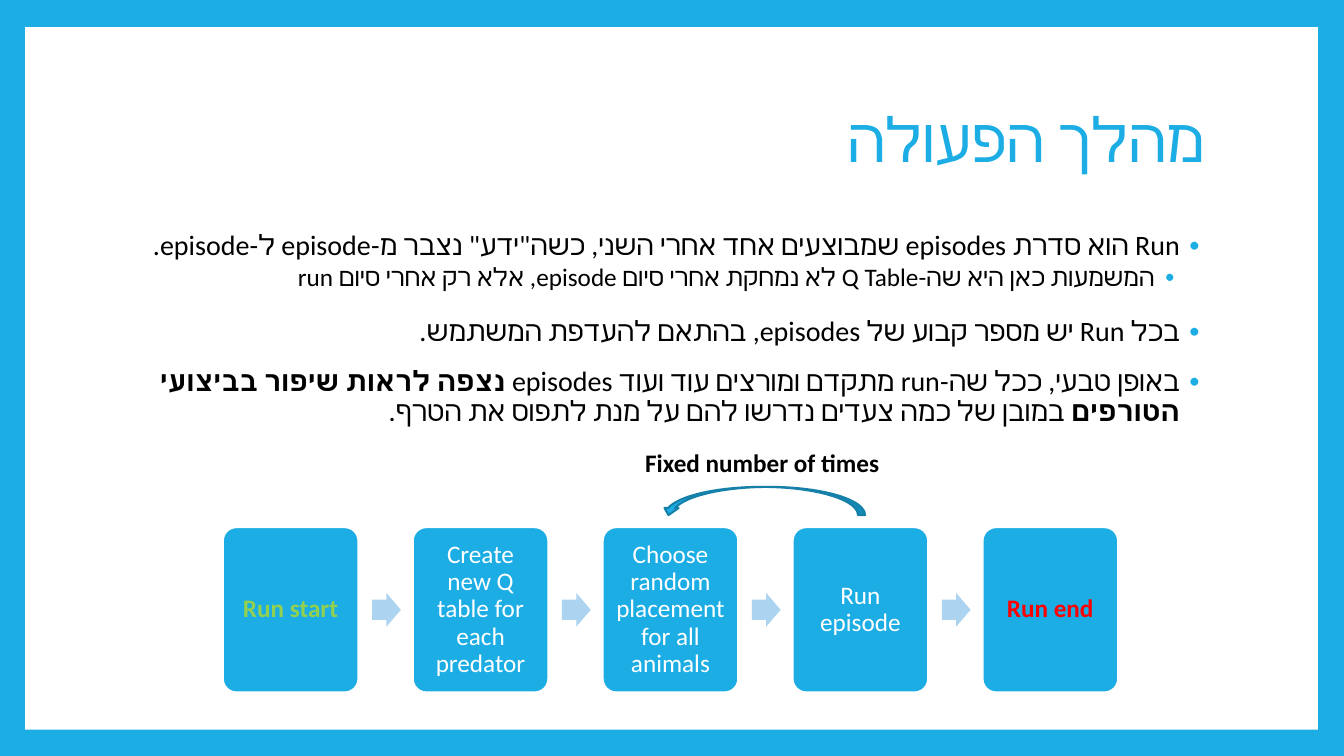
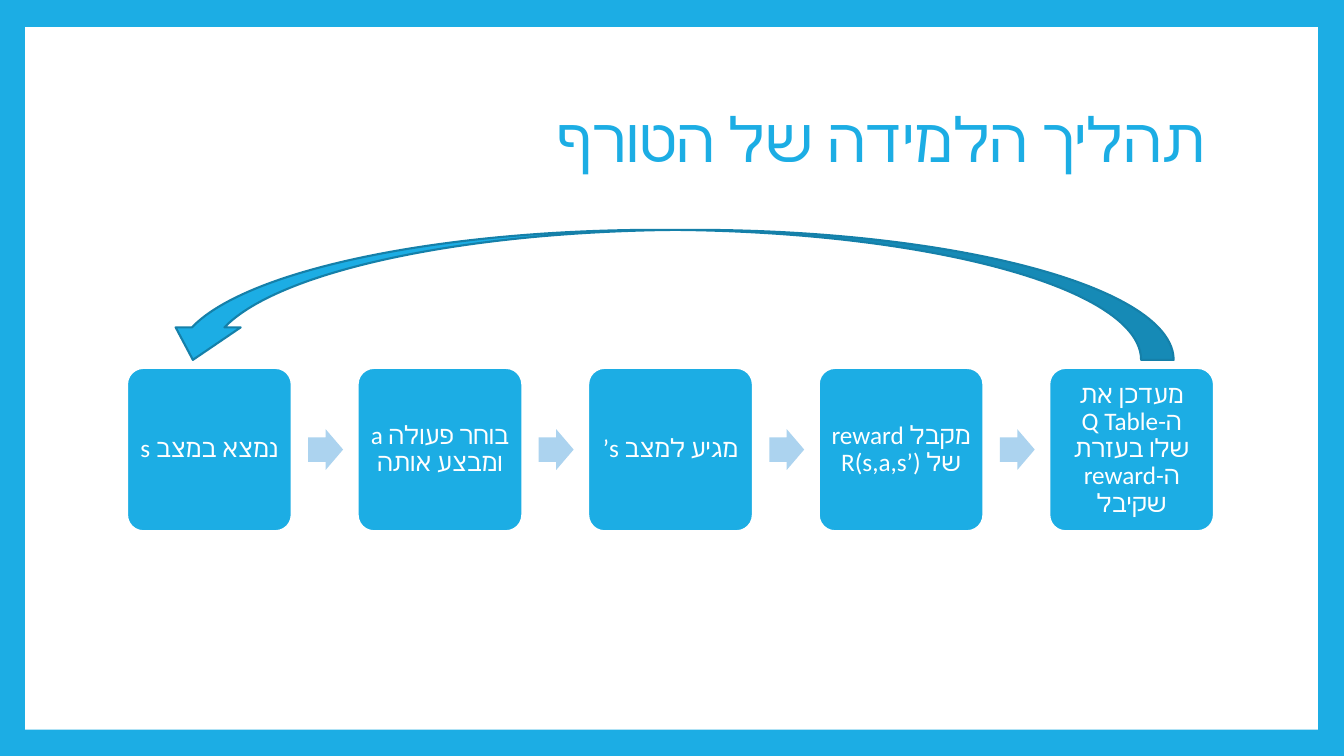
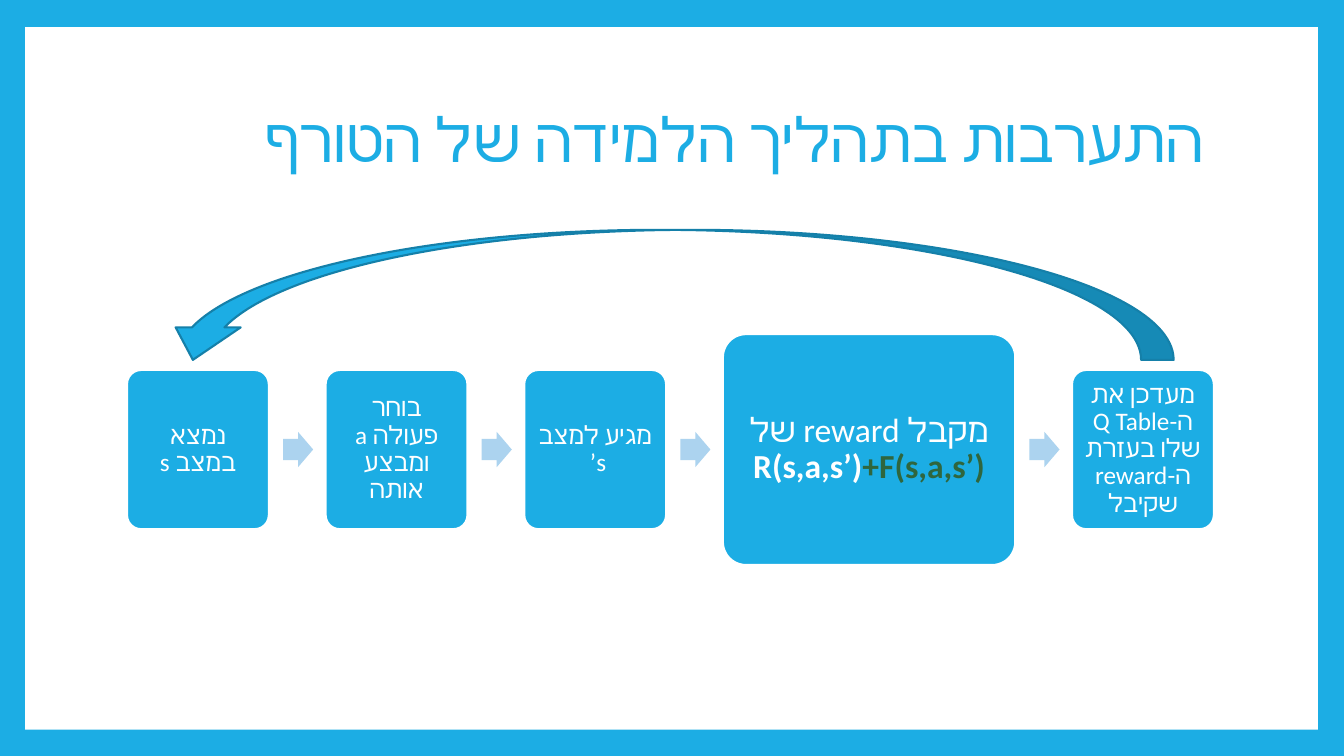
from dataclasses import dataclass

from lxml import etree
from pptx import Presentation
from pptx.dml.color import RGBColor
from pptx.enum import shapes, text
from pptx.oxml import ns
from pptx.util import Inches, Pt


@dataclass(frozen=True)
class Theme:
    font: str = "Calibri"
    accent: str = "1CADE4"
    outline: str = "1580A9"
    pale: str = "ACD3EF"
    white: str = "FFFFFF"
    black: str = "000000"
    start: str = "92D050"
    end: str = "FF0000"
    shaping: str = "2F663E"
    title_size: int = 44
    large_size: int = 24
    body_size: int = 20
    small_size: int = 18
    line_width: float = 1.5
    line_spacing: float = 0.9


THEME = Theme()
SHAPE = shapes.MSO_SHAPE
ALIGN = text.PP_ALIGN
ANCHOR = text.MSO_ANCHOR

BULLET_LEVELS = [
    {"size": THEME.body_size, "indent": 0.25, "before": 14, "after": 0},
    {"size": THEME.small_size, "indent": 0.5, "before": 2, "after": 4},
]


def set_all(target, values):
    for name, value in values.items():
        setattr(target, name, value)


def child(parent, tag, **attributes):
    return etree.SubElement(parent, ns.qn(tag), **attributes)


class Deck:
    def __init__(self, theme):
        self.theme = theme
        self.presentation = Presentation()
        set_all(self.presentation, {"slide_width": Inches(13.33), "slide_height": Inches(7.5)})
        self.slide = None

    def add_slide(self, title):
        self.slide = self.presentation.slides.add_slide(self.presentation.slide_layouts[6])
        background = self.slide.background.fill
        background.solid()
        background.fore_color.rgb = RGBColor.from_string(self.theme.accent)
        self.shape(SHAPE.RECTANGLE, (0.25, 0.27, 12.82, 6.97), self.theme.white)
        frame = self.text_box((1.25, 0.67, 10.8, 1.48), ANCHOR.MIDDLE)
        self.fill_paragraph(frame.paragraphs[0], [(title, {})], self.theme.title_size,
                            self.theme.accent, ALIGN.RIGHT, rtl=True)

    def shape(self, kind, box, fill, line=None, adjustments=()):
        shape = self.slide.shapes.add_shape(kind, *map(Inches, box))
        shape.shadow.inherit = False
        shape.fill.solid()
        shape.fill.fore_color.rgb = RGBColor.from_string(fill)
        if line:
            shape.line.color.rgb = RGBColor.from_string(line)
            shape.line.width = Pt(self.theme.line_width)
        else:
            shape.line.fill.background()
        for index, value in enumerate(adjustments):
            shape.adjustments[index] = value
        return shape

    def text_box(self, box, anchor=ANCHOR.TOP):
        frame = self.slide.shapes.add_textbox(*map(Inches, box)).text_frame
        set_all(frame, {"word_wrap": True, "vertical_anchor": anchor})
        return frame

    def fill_paragraph(self, paragraph, runs, size, color, align, rtl=False):
        """Add (words, changes) runs to a paragraph; changes may hold bold and color."""
        set_all(paragraph, {"alignment": align, "line_spacing": self.theme.line_spacing})
        if rtl:
            paragraph._p.get_or_add_pPr().set("rtl", "1")
        for words, changes in runs:
            run = paragraph.add_run()
            run.text = words
            set_all(run.font, {"name": self.theme.font, "size": Pt(size),
                               "bold": changes.get("bold", False)})
            run.font.color.rgb = RGBColor.from_string(changes.get("color", color))
            child(run._r.get_or_add_rPr(), "a:cs", typeface=self.theme.font)

    def bullets(self, box, items):
        """Add right-to-left bullets from (level, runs) items."""
        frame = self.text_box(box)
        for index, (level, runs) in enumerate(items):
            paragraph = frame.add_paragraph() if index else frame.paragraphs[0]
            style = BULLET_LEVELS[level]
            self.fill_paragraph(paragraph, runs, style["size"], self.theme.black,
                                ALIGN.RIGHT, rtl=True)
            set_all(paragraph, {"level": level, "space_before": Pt(style["before"]),
                                "space_after": Pt(style["after"])})
            properties = paragraph._p.get_or_add_pPr()
            properties.set("marL", str(Inches(style["indent"])))
            properties.set("indent", str(Inches(-0.2)))
            child(child(properties, "a:buClr"), "a:srgbClr", val=self.theme.accent)
            child(properties, "a:buSzPct", val="80000")
            child(properties, "a:buFont", typeface=self.theme.font)
            child(properties, "a:buChar", char="•")

    def label(self, box, words):
        self.fill_paragraph(self.text_box(box).paragraphs[0], [(words, {"bold": True})],
                            self.theme.small_size, self.theme.black, ALIGN.LEFT)

    def step(self, box, runs, size, inset, rtl):
        shape = self.shape(SHAPE.ROUNDED_RECTANGLE, box, self.theme.accent,
                           self.theme.white, [0.1])
        frame = shape.text_frame
        margins = {f"margin_{side}": Inches(inset) for side in ("left", "top", "right", "bottom")}
        set_all(frame, {"word_wrap": True, "vertical_anchor": ANCHOR.MIDDLE, **margins})
        self.fill_paragraph(frame.paragraphs[0], runs, size, self.theme.white, ALIGN.CENTER, rtl)

    def chain(self, left, right, middle, height, steps, rtl=True, large=None, large_size=(0, 0)):
        """Spread steps from left to right; each gap is 0.4 of a normal step's width."""
        normal = len(steps) - (large is not None)
        width = (right - left - large_size[0]) / (normal + 0.4 * (len(steps) - 1))
        arrow_width, arrow_height = 0.212 * width, 0.248 * width
        for index, runs in enumerate(steps):
            is_large = index == large
            step_width, step_height = large_size if is_large else (width, height)
            self.step((left, middle - step_height / 2, step_width, step_height), runs,
                      self.theme.large_size if is_large else self.theme.small_size,
                      0.1 if is_large else 0.07, rtl)
            left += step_width
            if index < len(steps) - 1:
                self.shape(SHAPE.RIGHT_ARROW,
                           (left + 0.1 * width, middle - arrow_height / 2,
                            arrow_width, arrow_height),
                           self.theme.pale, adjustments=[0.6, 0.5])
            left += 0.4 * width

    def loop_arrow(self, box):
        self.shape(SHAPE.CURVED_UP_ARROW, box, self.theme.accent, self.theme.outline).rotation = 180


RUN_BULLETS = [
    (0, [("Run הוא סדרת episodes שמבוצעים אחד אחרי השני, "
          "כשה\"ידע\" נצבר מ-episode ל-episode. ", {})]),
    (1, [("המשמעות כאן היא שה-Q Table לא נמחקת אחרי סיום episode, "
          "אלא רק אחרי סיום run", {})]),
    (0, [("בכל Run יש מספר קבוע של episodes, בהתאם להעדפת המשתמש.", {})]),
    (0, [("באופן טבעי, ככל שה-run מתקדם ומורצים עוד ועוד episodes ", {}),
         ("נצפה לראות שיפור בביצועי הטורפים ", {"bold": True}),
         ("במובן של כמה צעדים נדרשו להם על מנת לתפוס את הטרף.", {})]),
]
RUN_STEPS = [
    [("Run start", {"bold": True, "color": THEME.start})],
    [("Create new Q table for each predator", {})],
    [("Choose random placement for all animals", {})],
    [("Run episode", {})],
    [("Run end", {"bold": True, "color": THEME.end})],
]
REWARD = 3
LEARNING_STEPS = [[(words, {})] for words in (
    "נמצא במצב s",
    "בוחר פעולה a ומבצע אותה",
    "מגיע למצב s’ ",
    "מקבל reward של R(s,a,s’)",
    "מעדכן את ה-Q Table שלו בעזרת ה-reward שקיבל",
)]
SHAPED_REWARD = [
    ("מקבל reward של ", {}),
    ("R(s,a,s’)", {"bold": True}),
    ("+F(s,a,s’)", {"bold": True, "color": THEME.shaping}),
]
LEARNING_SPAN = {"left": 1.26, "right": 12.04, "middle": 4.46}
LEARNING_LOOP = (1.59, 2.28, 10.05, 1.29)


def main():
    deck = Deck(THEME)

    deck.add_slide("מהלך הפעולה")
    deck.bullets((1.25, 2.25, 10.8, 4.42), RUN_BULLETS)
    deck.chain(2.21, 11.09, 6.05, 1.64, RUN_STEPS, rtl=False)
    deck.loop_arrow((6.56, 4.83, 2.02, 0.28))
    deck.label((6.3, 4.42, 2.84, 0.4), "Fixed number of times")

    deck.add_slide("תהליך הלמידה של הטורף")
    deck.chain(**LEARNING_SPAN, height=1.62, steps=LEARNING_STEPS)
    deck.loop_arrow(LEARNING_LOOP)

    deck.add_slide("התערבות בתהליך הלמידה של הטורף")
    shaped_steps = [*LEARNING_STEPS[:REWARD], SHAPED_REWARD, *LEARNING_STEPS[REWARD + 1:]]
    deck.chain(**LEARNING_SPAN, height=1.58, steps=shaped_steps,
               large=REWARD, large_size=(2.9, 2.29))
    deck.loop_arrow(LEARNING_LOOP)

    deck.presentation.save("out.pptx")


if __name__ == "__main__":
    main()
